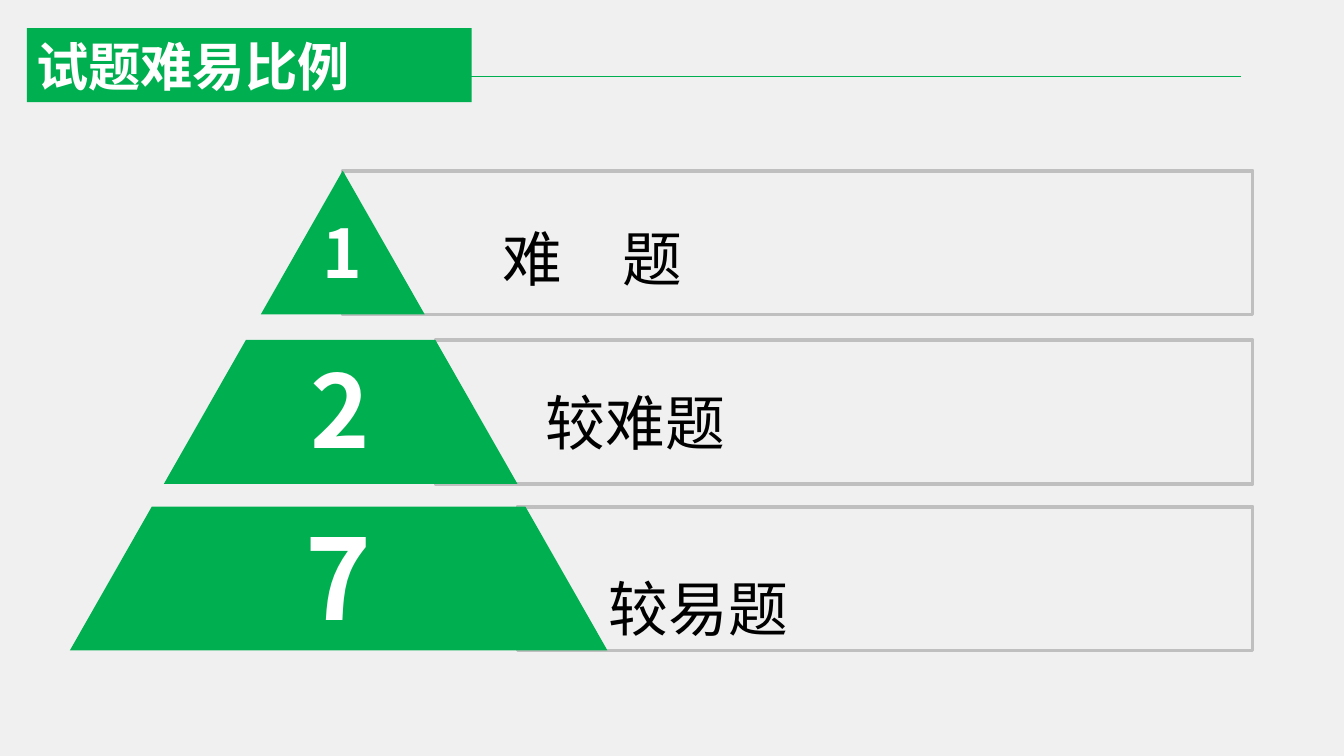
import pptx
import pptx.util
import pptx.dml.color
import pptx.enum.shapes
import pptx.enum.text
import pptx.oxml.ns
import lxml.etree
from dataclasses import dataclass

Inches = pptx.util.Inches
Align = pptx.enum.text.PP_ALIGN


@dataclass(frozen=True)
class Theme:
    font: str = "Noto Sans CJK SC"
    background: str = "F0F0F0"
    green: str = "00B050"
    frame: str = "BFBFBF"
    white: str = "FFFFFF"
    black: str = "000000"
    title_size: int = 28
    label_size: int = 32


THEME = Theme()
ROW_HEIGHT = 1.07
FRAME_RIGHT = 9.32
FLARE = 0.61  # how far each pyramid side spreads within one row


@dataclass(frozen=True)
class Level:
    number: str
    number_size: int
    label: str
    top: float
    top_left: float
    top_right: float
    frame_left: float
    label_left: float
    label_top: float
    label_width: float
    inset_top: float = 0


LEVELS = [
    Level("1", 36, "难　题", 1.27, 2.55, 2.55, 2.55, 3.74, 1.47, 4.96, 0.19),
    Level("2", 54, "较难题", 2.53, 1.83, 3.24, 3.24, 4.06, 2.69, 4.8),
    Level("7", 60, "较易题", 3.77, 1.13, 3.91, 3.85, 4.53, 4.07, 4.49),
]


def rgb(value):
    return pptx.dml.color.RGBColor.from_string(value)


def fill_solid(shape, color):
    shape.shadow.inherit = False
    shape.fill.solid()
    shape.fill.fore_color.rgb = rgb(color)
    shape.line.fill.background()


def write_text(shape, text, size, color, align, insets, bold=False):
    frame = shape.text_frame
    frame.text = text
    frame.word_wrap = True
    frame.vertical_anchor = pptx.enum.text.MSO_ANCHOR.MIDDLE
    (frame.margin_left, frame.margin_top,
     frame.margin_right, frame.margin_bottom) = map(Inches, insets)
    para = frame.paragraphs[0]
    para.alignment = align
    for span in para.runs:
        span.font.size = pptx.util.Pt(size)
        span.font.bold = bold
        span.font.name = THEME.font
        span.font.color.rgb = rgb(color)
        # East Asian glyphs take their own typeface entry
        east_asian = lxml.etree.SubElement(
            span.font._element, pptx.oxml.ns.qn("a:ea"))
        east_asian.set("typeface", THEME.font)
    return para


def add_rectangle(page, left, top, width, height):
    return page.shapes.add_shape(
        pptx.enum.shapes.MSO_SHAPE.RECTANGLE,
        Inches(left), Inches(top), Inches(width), Inches(height))


def add_title(page, text):
    box = add_rectangle(page, 0.2, 0.21, 3.31, 0.55)
    fill_solid(box, THEME.green)
    write_text(box, text, THEME.title_size, THEME.white, Align.LEFT,
               (0.07, 0.04, 0.07, 0.04), bold=True)


def add_frame(page, level):
    box = add_rectangle(page, level.frame_left, level.top,
                        FRAME_RIGHT - level.frame_left, ROW_HEIGHT)
    box.shadow.inherit = False
    box.fill.background()
    box.line.color.rgb = rgb(THEME.frame)
    box.line.width = pptx.util.Pt(2)


def add_pyramid_part(page, level):
    bottom = level.top + ROW_HEIGHT
    corners = [(level.top_left, level.top), (level.top_right, level.top),
               (level.top_right + FLARE, bottom),
               (level.top_left - FLARE, bottom)]
    points = [(Inches(x), Inches(y)) for x, y in corners]
    builder = page.shapes.build_freeform(*points[0])
    builder.add_line_segments(points[1:], close=True)
    part = builder.convert_to_shape()
    fill_solid(part, THEME.green)
    write_text(part, level.number, level.number_size, THEME.white,
               Align.CENTER, (0.09, level.inset_top, 0.09, 0.05), bold=True)


def add_label(page, level):
    box = page.shapes.add_textbox(
        Inches(level.label_left), Inches(level.label_top),
        Inches(level.label_width), Inches(0.74))
    para = write_text(box, level.label, THEME.label_size, THEME.black,
                      Align.JUSTIFY, (0, 0, 0, 0))
    para.line_spacing = 1.3


def add_title_rule(page):
    rule = page.shapes.add_connector(
        pptx.enum.shapes.MSO_CONNECTOR.STRAIGHT,
        Inches(3.31), Inches(0.57), Inches(9.23), Inches(0.57))
    rule.line.color.rgb = rgb(THEME.green)
    rule.line.width = pptx.util.Pt(0.75)
    lxml.etree.SubElement(rule._element.spPr,
                          pptx.oxml.ns.qn("a:effectLst"))


def main():
    deck = pptx.Presentation()
    # Widescreen, 16 to 9
    deck.slide_width = Inches(10)
    deck.slide_height = Inches(10) * 9 // 16
    page = deck.slides.add_slide(deck.slide_layouts[6])
    page.background.fill.solid()
    page.background.fill.fore_color.rgb = rgb(THEME.background)

    # Heading
    add_title(page, "试题难易比例")

    # Pyramid: frames behind, then the parts, then the labels
    for add_element in (add_frame, add_pyramid_part, add_label):
        for level in LEVELS:
            add_element(page, level)

    # Rule beside the heading
    add_title_rule(page)
    deck.save("out.pptx")


if __name__ == "__main__":
    main()
